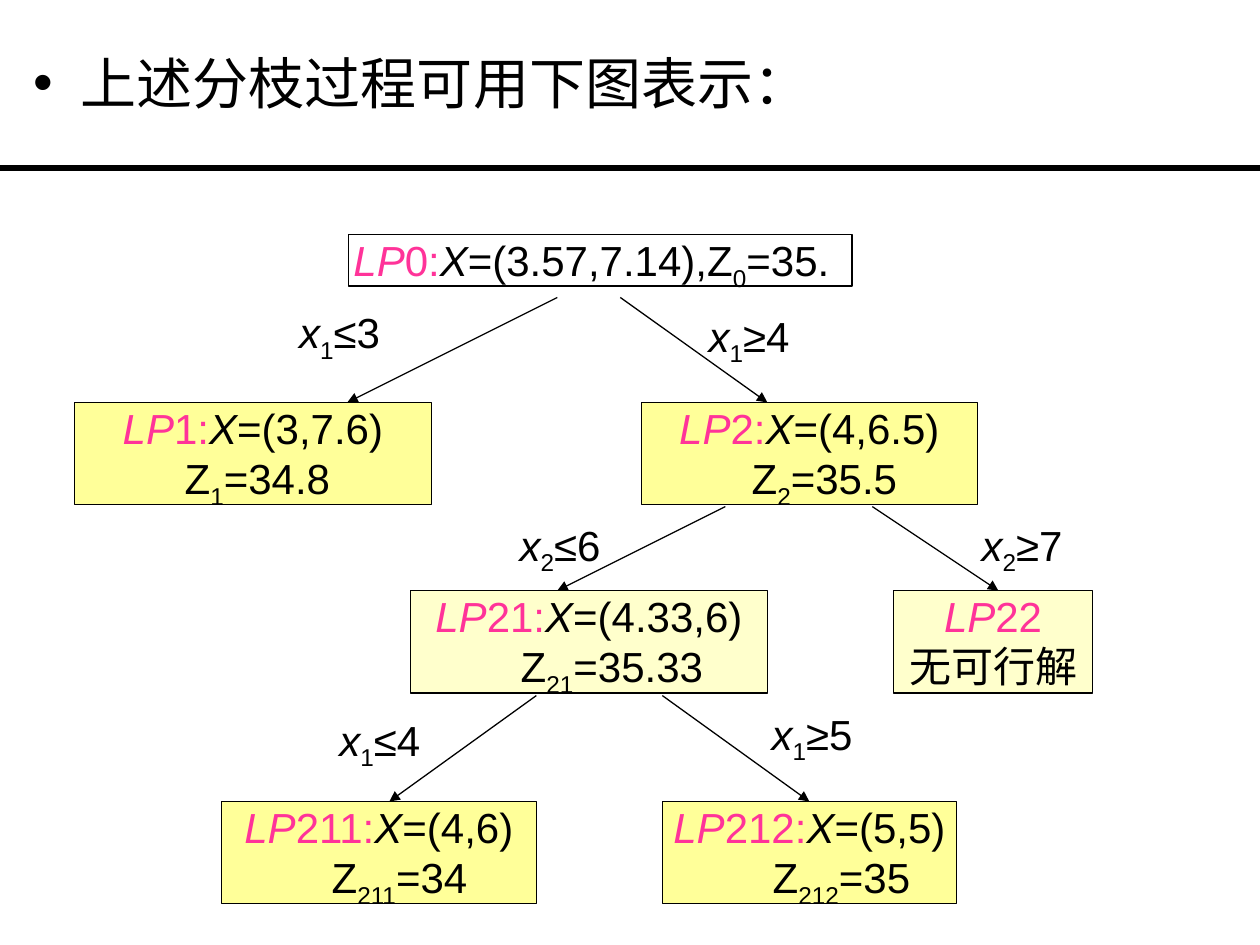
from lxml.etree import SubElement
from pptx import Presentation
from pptx.dml.color import RGBColor
from pptx.enum.shapes import MSO_CONNECTOR, MSO_SHAPE
from pptx.enum.text import MSO_ANCHOR, MSO_AUTO_SIZE, PP_ALIGN
from pptx.oxml.ns import qn
from pptx.util import Pt

HEADING = "上述分枝过程可用下图表示："
BLACK, WHITE, PINK = "000000", "FFFFFF", "FF3399"
YELLOW, CREAM = "FFFF99", "FFFFCC"
ROW_TOPS = [134, 230, 337.5, 458]
ARROW_TOPS = [170, 289.5, 397.5]
BOX_HEIGHT = 58.5
VALUE_INDENT = 60

ROOT = {"left": 199, "width": 288, "name": "0", "point": "(3.57,7.14),Z", "value": "35."}
NODES = [
    {"row": 1, "left": 42.5, "width": 204, "fill": YELLOW, "name": "1", "point": "(3,7.6)", "value": "34.8"},
    {"row": 1, "left": 366.5, "width": 192, "fill": YELLOW, "name": "2", "point": "(4,6.5)", "value": "35.5"},
    {"row": 2, "left": 234.5, "width": 204, "fill": CREAM, "name": "21", "point": "(4.33,6)", "value": "35.33"},
    {"row": 3, "left": 126.5, "width": 180, "fill": YELLOW, "name": "211", "point": "(4,6)", "value": "34"},
    {"row": 3, "left": 378.5, "width": 168, "fill": YELLOW, "name": "212", "point": "(5,5)", "value": "35"},
]
INFEASIBLE = {"row": 2, "left": 510.5, "width": 114, "fill": CREAM, "name": "22", "text": "无可行解"}

# row, arrow start x, arrow end x, label left, label top, variable index, bound
BRANCHES = [
    (0, 318.5, 198.5, 156.5, 168, "1", "≤3"),
    (0, 354.5, 438.5, 390.5, 170, "1", "≥4"),
    (1, 414.5, 318.5, 282.5, 289.5, "2", "≤6"),
    (1, 498.5, 570.5, 546.5, 289.5, "2", "≥7"),
    (2, 306.5, 222.5, 179.5, 401, "1", "≤4"),
    (2, 378.5, 462.5, 426.5, 397.5, "1", "≥5"),
]


def color(value):
    return RGBColor.from_string(value)


def set_all(target, **values):
    for name, value in values.items():
        setattr(target, name, value)


def set_frame(shape, horizontal, vertical, wrap):
    set_all(shape.text_frame, word_wrap=wrap, auto_size=MSO_AUTO_SIZE.SHAPE_TO_FIT_TEXT,
            vertical_anchor=MSO_ANCHOR.TOP, margin_left=Pt(horizontal), margin_right=Pt(horizontal),
            margin_top=Pt(vertical), margin_bottom=Pt(vertical))


def write(paragraph, runs, alignment=PP_ALIGN.LEFT, size=24):
    paragraph.alignment = alignment
    for text, style, ink in runs:
        run = paragraph.add_run()
        run.text = text
        set_all(run.font, name="Arial", size=Pt(size), bold=False, italic=style == "italic")
        run.font.color.rgb = color(ink)
        if style == "sub":
            run._r.get_or_add_rPr().set("baseline", "-25000")


def add_box(slide, left, top, width, height, fill):
    box = slide.shapes.add_shape(MSO_SHAPE.RECTANGLE, Pt(left), Pt(top), Pt(width), Pt(height))
    box.shadow.inherit = False
    box.fill.solid()
    box.fill.fore_color.rgb = color(fill)
    box.line.color.rgb = color(BLACK)
    box.line.width = Pt(0.75)
    set_frame(box, 3, 0, True)
    return box.text_frame


def add_node_box(slide, node):
    return add_box(slide, node["left"], ROW_TOPS[node["row"]], node["width"], BOX_HEIGHT, node["fill"])


def solution_runs(node):
    return [("LP", "italic", PINK), (node["name"] + ":", "", PINK),
            ("X", "italic", BLACK), ("=" + node["point"], "", BLACK)]


def value_runs(node):
    return [(node["name"], "sub", BLACK), ("=" + node["value"], "", BLACK)]


def add_line(slide, start, end, width, arrow=False):
    line = slide.shapes.add_connector(MSO_CONNECTOR.STRAIGHT, *map(Pt, start + end))
    line.line.color.rgb = color(BLACK)
    line.line.width = Pt(width)
    properties = line._element.spPr
    if arrow:
        SubElement(properties.find(qn("a:ln")), qn("a:tailEnd"), type="triangle")
    SubElement(properties, qn("a:effectLst"))


def add_heading(slide):
    title = slide.shapes.title
    set_all(title, left=Pt(12), top=Pt(24), width=Pt(641), height=Pt(51))
    set_frame(title, 7.2, 3.6, True)
    title.text_frame.auto_size = MSO_AUTO_SIZE.NONE
    paragraph = title.text_frame.paragraphs[0]
    write(paragraph, [(HEADING, "", BLACK)], size=32)
    properties = paragraph._p.get_or_add_pPr()
    properties.set("marL", str(Pt(27)))
    properties.set("indent", str(Pt(-27)))
    SubElement(properties, qn("a:buFont"), typeface="Arial")
    SubElement(properties, qn("a:buChar"), char="•")


def add_nodes(slide):
    root = add_box(slide, ROOT["left"], ROW_TOPS[0], ROOT["width"], 29.5, WHITE)
    write(root.paragraphs[0], solution_runs(ROOT) + value_runs(ROOT))
    for node in NODES:
        frame = add_node_box(slide, node)
        write(frame.paragraphs[0], solution_runs(node), PP_ALIGN.CENTER)
        paragraph = frame.add_paragraph()
        write(paragraph, [("Z", "", BLACK)] + value_runs(node))
        paragraph._p.get_or_add_pPr().set("marL", str(Pt(VALUE_INDENT)))
    frame = add_node_box(slide, INFEASIBLE)
    write(frame.paragraphs[0], [("LP", "italic", PINK), (INFEASIBLE["name"], "", PINK)], PP_ALIGN.CENTER)
    write(frame.add_paragraph(), [(INFEASIBLE["text"], "", BLACK)], PP_ALIGN.CENTER)


def add_branches(slide):
    for row, start, end, left, top, index, bound in BRANCHES:
        add_line(slide, (start, ARROW_TOPS[row]), (end, ROW_TOPS[row + 1]), 0.75, arrow=True)
        label = slide.shapes.add_textbox(Pt(left), Pt(top), Pt(85), Pt(43))
        set_frame(label, 14.4, 7.2, False)
        write(label.text_frame.paragraphs[0],
              [("x", "italic", BLACK), (index, "sub", BLACK), (bound, "", BLACK)])


def main():
    presentation = Presentation()
    set_all(presentation, slide_width=Pt(720), slide_height=Pt(540))
    slide = presentation.slides.add_slide(presentation.slide_layouts[5])
    add_line(slide, (0, 96), (720, 96), 3)
    add_heading(slide)
    add_nodes(slide)
    add_branches(slide)
    presentation.save("out.pptx")


if __name__ == "__main__":
    main()
